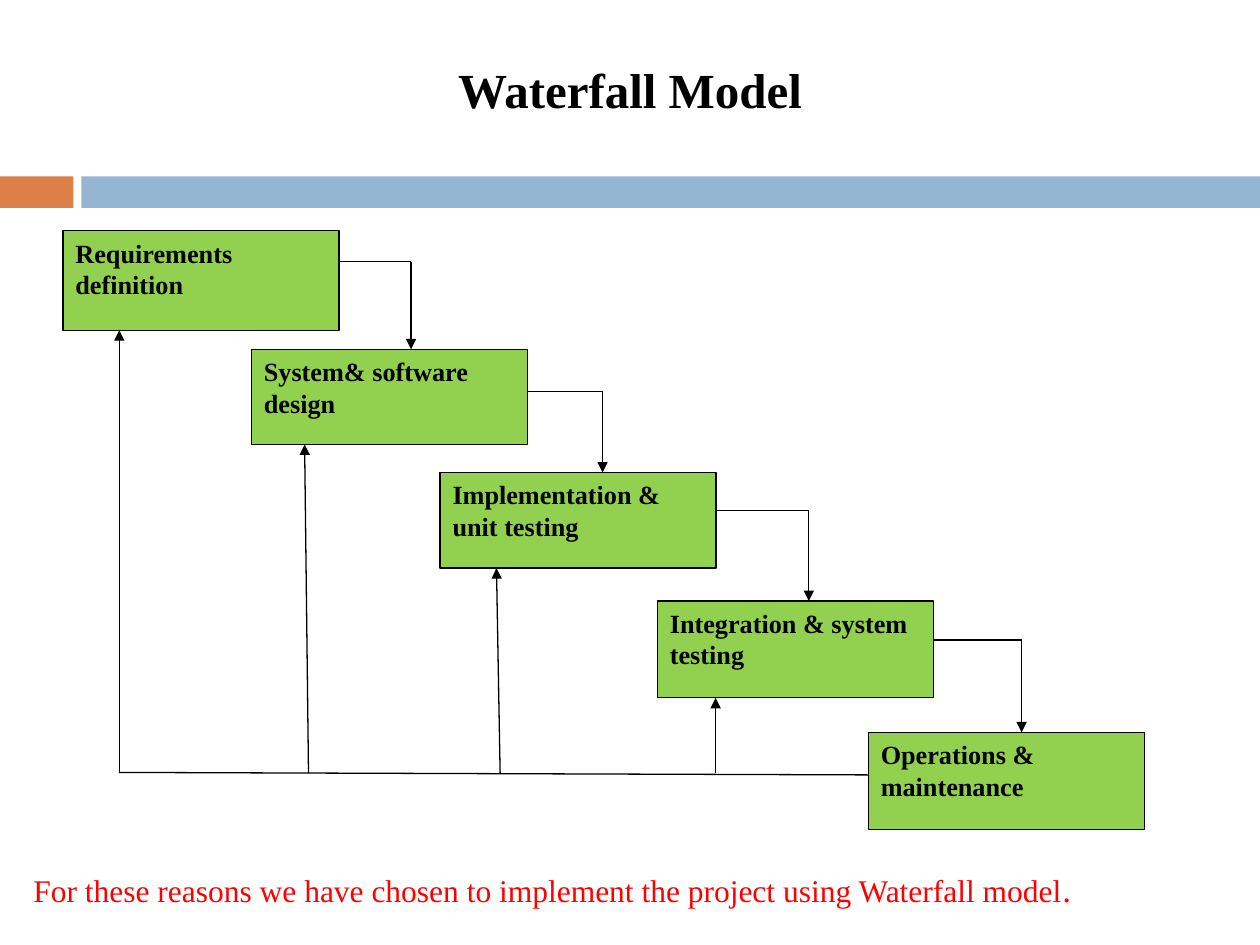
from lxml import etree
from pptx import Presentation
from pptx.dml.color import RGBColor
from pptx.enum.shapes import MSO_CONNECTOR, MSO_SHAPE
from pptx.enum.text import MSO_ANCHOR, MSO_AUTO_SIZE, PP_ALIGN
from pptx.oxml.ns import qn
from pptx.util import Pt

RECTANGLE = MSO_SHAPE.RECTANGLE
STRAIGHT = MSO_CONNECTOR.STRAIGHT
TOP, MIDDLE = MSO_ANCHOR.TOP, MSO_ANCHOR.MIDDLE
LEFT, CENTER = PP_ALIGN.LEFT, PP_ALIGN.CENTER
GROW = MSO_AUTO_SIZE.SHAPE_TO_FIT_TEXT

COLORS = {
    name: RGBColor.from_string(value)
    for name, value in {
        "orange": "DD8047",
        "blue": "94B6D2",
        "green": "92D050",
        "black": "000000",
        "red": "FF0000",
    }.items()
}
FONT = "Times New Roman"
STAGE_WIDTH = 157.7
RETURN_Y = 442

prs = Presentation()
prs.slide_width, prs.slide_height = Pt(720), Pt(540)
slide = prs.slides.add_slide(prs.slide_layouts[5])


def add_box(left, top, width, height, color):
    box = slide.shapes.add_shape(RECTANGLE, Pt(left), Pt(top), Pt(width), Pt(height))
    box.shadow.inherit = False
    box.fill.solid()
    box.fill.fore_color.rgb = COLORS[color]
    box.line.fill.background()
    return box


def add_line(x1, y1, x2, y2, arrow=False):
    line = slide.shapes.add_connector(STRAIGHT, Pt(x1), Pt(y1), Pt(x2), Pt(y2))
    line.line.color.rgb = COLORS["black"]
    line.line.width = Pt(0.75)
    if arrow:
        etree.SubElement(line.line._get_or_add_ln(), qn("a:tailEnd"), type="triangle")
    etree.SubElement(line._element.spPr, qn("a:effectLst"))


# Title and the band beneath it
add_box(0, 100.8, 42, 18, "orange")
add_box(46.5, 100.8, 673.5, 18, "blue")

title = slide.shapes.title
title.left, title.top, title.width, title.height = Pt(0), Pt(0), Pt(720), Pt(102)
title.text_frame.text = "Waterfall Model"
title.text_frame.vertical_anchor = MIDDLE
heading = title.text_frame.paragraphs[0]
heading.alignment = CENTER
title_format = {"name": FONT, "size": Pt(28), "bold": True}
for attribute, value in title_format.items():
    setattr(heading.font, attribute, value)
heading.font.color.rgb = COLORS["black"]

# Stages: label, left, top, height
stages = [
    ("Requirements definition", 36, 131.8, 56.9),
    ("System& software design", 143.7, 199.6, 54.4),
    ("Implementation & unit testing", 251.5, 270, 54.7),
    ("Integration & system testing", 375.7, 343.4, 55.4),
    ("Operations & maintenance", 496.2, 418.5, 55.4),
]
stage_format = {"name": FONT, "size": Pt(15), "bold": True}
for label, left, top, height in stages:
    stage = add_box(left, top, STAGE_WIDTH, height, "green")
    stage.line.color.rgb = COLORS["black"]
    stage.line.width = Pt(0.75)
    stage.text_frame.text = label
    stage.text_frame.vertical_anchor = TOP
    paragraph = stage.text_frame.paragraphs[0]
    paragraph.alignment = LEFT
    paragraph.space_after = Pt(10)
    for attribute, value in stage_format.items():
        setattr(paragraph.font, attribute, value)
    paragraph.font.color.rgb = COLORS["black"]

# Each stage steps right and down into the next one
step_corners = [(234.9, 149.6), (344.3, 223.8), (462.2, 291.6), (583.8, 365.7)]
for (_, left, _, _), (_, _, next_top, _), (x, y) in zip(stages, stages[1:], step_corners):
    add_line(left + STAGE_WIDTH, y, x, y)
    add_line(x, y, x, next_top, arrow=True)

# Feedback from the last stage up to every earlier one
feedback = [(68.2, 68.2), (176.3, 174.1), (285.8, 283.7), (408.9, 408.9)]
add_line(stages[-1][1], RETURN_Y + 0.8, feedback[0][0], RETURN_Y - 0.6)
for (_, _, top, height), (start_x, end_x) in zip(stages, feedback):
    add_line(start_x, RETURN_Y, end_x, top + height, arrow=True)

# Conclusion
conclusion = slide.shapes.add_textbox(Pt(12), Pt(492), Pt(696), Pt(31.5))
conclusion.text_frame.word_wrap = True
conclusion.text_frame.auto_size = GROW
sentence = conclusion.text_frame.paragraphs[0]
for text, size in [
    ("For these reasons we have chosen to implement the project using Waterfall model", 18),
    (".", 20),
]:
    run = sentence.add_run()
    run.text = text
    run.font.name = FONT
    run.font.size = Pt(size)
    run.font.color.rgb = COLORS["red"]

prs.save("out.pptx")
